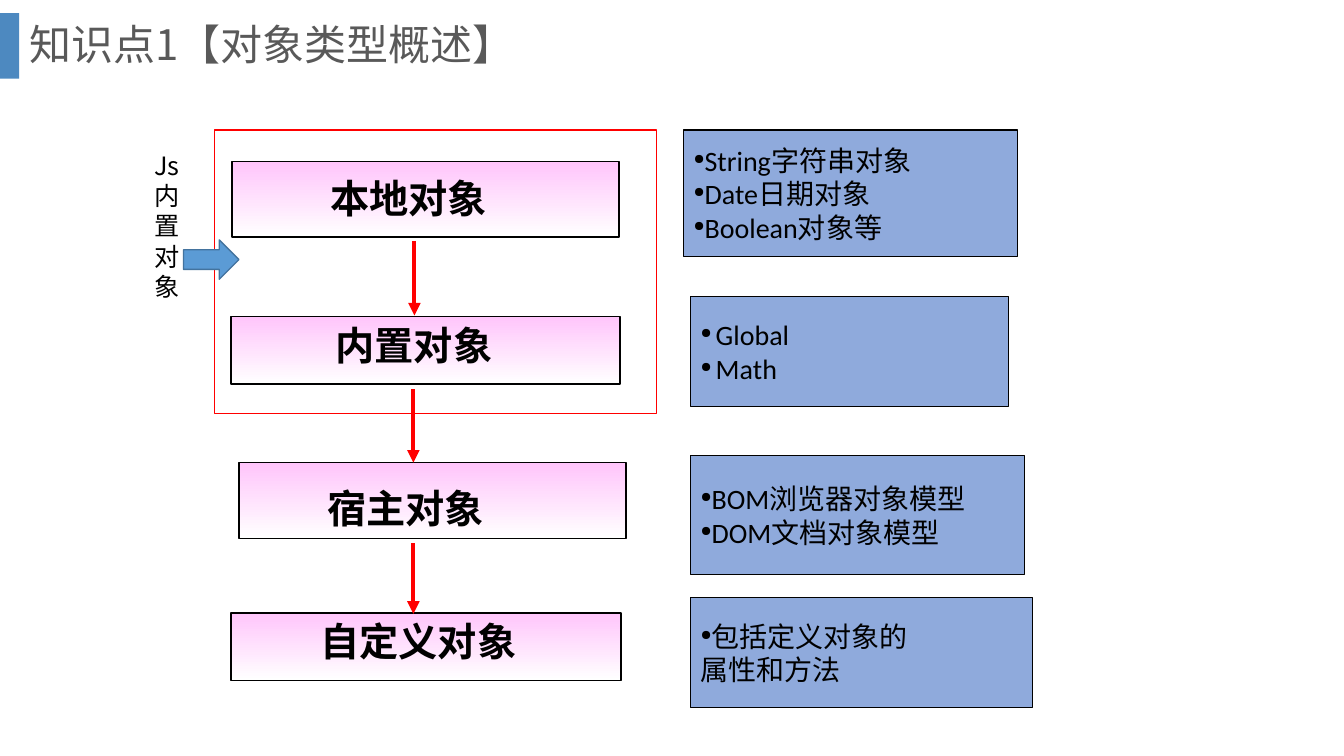
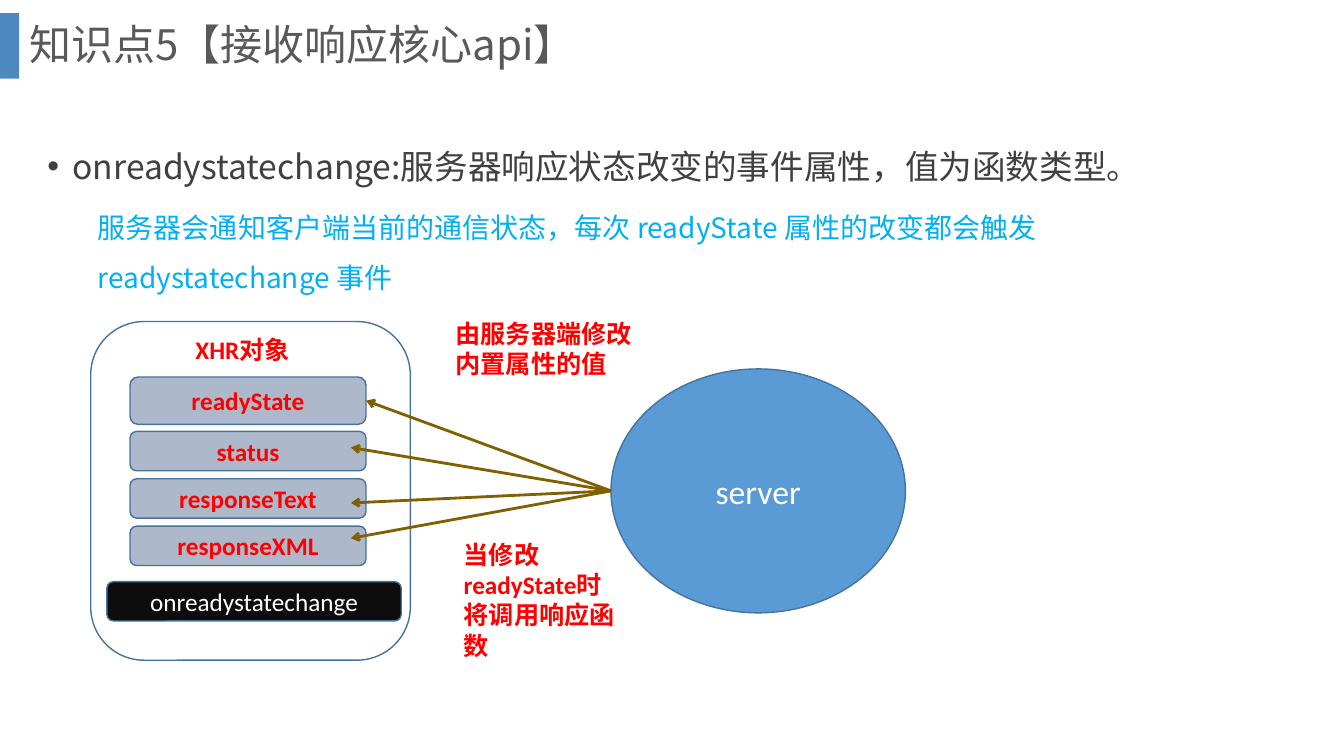
from pptx import Presentation
from pptx.dml.color import RGBColor
from pptx.enum.shapes import MSO_CONNECTOR as CONN, MSO_SHAPE as SHAPE
from pptx.enum.text import MSO_ANCHOR as ANCHOR, MSO_AUTO_SIZE as AUTO, PP_ALIGN as ALIGN
from pptx.oxml.ns import qn
from pptx.util import Inches, Pt
from lxml.etree import SubElement

COLORS = {
    "band": "2E75B6", "title": "595959", "body": "404040", "note": "00B0F0",
    "black": "000000", "white": "FFFFFF", "red": "FF0000", "pink": "FFC5FB",
    "panel": "8FAADC", "blue": "5B9BD5", "edge": "43739E", "grey": "ADB9CA",
    "dark": "0D0D0D", "brown": "806000",
}
LATIN, CJK = "Calibri", "Noto Sans CJK SC"
TITLE = dict(size=30, color="title", name=CJK)
LABEL = dict(size=28, bold=True, name=CJK)
PANEL = dict(size=20)
TAG = dict(size=18, bold=True, color="red")


def rgb(key):
    return RGBColor.from_string(COLORS[key])


def format_run(r, size, color="black", name=LATIN, bold=False):
    for key, value in dict(size=Pt(size), bold=bold, name=name).items():
        setattr(r.font, key, value)
    r.font.color.rgb = rgb(color)
    SubElement(r.font._element, qn("a:ea")).set("typeface", CJK)


def set_indent(p, left, first, bullet=None, percent=100):
    """Set the margins of a paragraph and its bullet, or none."""
    pPr = p._p.get_or_add_pPr()
    pPr.set("marL", str(Inches(left)))
    pPr.set("indent", str(Inches(first)))
    if bullet:
        SubElement(pPr, qn("a:buSzPct")).set("val", str(percent * 1000))
        SubElement(pPr, qn("a:buChar")).set("char", bullet)
    else:
        SubElement(pPr, qn("a:buNone"))


def write(sp, lines, style, align=ALIGN.LEFT, anchor=ANCHOR.MIDDLE):
    tf = sp.text_frame
    for key, value in dict(word_wrap=True, auto_size=AUTO.NONE, vertical_anchor=anchor).items():
        setattr(tf, key, value)
    for i, line in enumerate(lines):
        p = tf.add_paragraph() if i else tf.paragraphs[0]
        p.alignment = align
        r = p.add_run()
        r.text = line
        format_run(r, **style)
    return tf.paragraphs


def place(sp, *box):
    for key, value in zip(("left", "top", "width", "height"), box):
        setattr(sp, key, Inches(value))


def add_box(slide, kind, box, fill=None, line=None, width=1):
    sp = slide.shapes.add_shape(kind, *map(Inches, box))
    sp.shadow.inherit = False
    if fill:
        sp.fill.solid()
        sp.fill.fore_color.rgb = rgb(fill)
    else:
        sp.fill.background()
    if line:
        sp.line.color.rgb = rgb(line)
        sp.line.width = Pt(width)
    else:
        sp.line.fill.background()
    return sp


def add_text(slide, box, lines, style, anchor=ANCHOR.TOP):
    return write(slide.shapes.add_textbox(*map(Inches, box)), lines, style, anchor=anchor)


def add_arrow(slide, start, end, color, width, head):
    cx = slide.shapes.add_connector(CONN.STRAIGHT, *map(Inches, start + end))
    cx.line.color.rgb = rgb(color)
    cx.line.width = Pt(width)
    SubElement(cx.line._get_or_add_ln(), qn("a:tailEnd")).set("type", head)
    SubElement(cx._element.spPr, qn("a:effectLst"))
    return cx


def add_slide(prs, layout, title):
    """Add a slide with the shared side band and title style."""
    slide = prs.slides.add_slide(prs.slide_layouts[layout])
    band = add_box(slide, SHAPE.RECTANGLE, (0, 0.13, 0.19, 0.65), "band")
    color = band.fill._xPr.find(qn("a:solidFill"))[0]
    SubElement(color, qn("a:alpha")).set("val", "85000")
    place(slide.shapes.title, 0.19, 0, 12.66, 0.93)
    write(slide.shapes.title, [title], TITLE)[0].line_spacing = 0.9
    return slide


def add_gradient_box(slide, box):
    sp = add_box(slide, SHAPE.RECTANGLE, box, line="black")
    sp.fill.gradient()
    sp.fill.gradient_angle = 270
    for stop, key in zip(sp.fill.gradient_stops, ("pink", "white")):
        stop.color.rgb = rgb(key)


def add_panel(slide, box, lines, bullets, hang):
    sp = add_box(slide, SHAPE.RECTANGLE, box, "panel", "black", 0.75)
    for i, p in enumerate(write(sp, lines, PANEL)):
        if i < bullets:
            set_indent(p, hang, -hang, "●", 50)


def object_types(prs):
    slide = add_slide(prs, 5, "知识点1【对象类型概述】")

    # Chain of object types: box, then label text and its place
    chain = [
        ((2.3, 1.6, 3.84, 0.75), "本地对象", (3.18, 1.68)),
        ((2.29, 3.14, 3.86, 0.67), "内置对象", (3.23, 3.14)),
        ((2.37, 4.59, 3.84, 0.75), "宿主对象", (3.15, 4.75)),
        ((2.29, 6.08, 3.87, 0.67), "自定义对象", (3.08, 6.07)),
    ]
    for box, label, at in chain:
        add_gradient_box(slide, box)
        add_text(slide, at + (2.26, 0.57), [label], LABEL, ANCHOR.MIDDLE)
    for x, top, bottom in [(4.11, 2.39, 3.13), (4.1, 3.86, 4.59), (4.1, 5.39, 6.09)]:
        add_arrow(slide, (x, top), (x, bottom), "red", 3, "triangle")

    # Examples of each type
    panels = [
        ((6.78, 1.29, 3.31, 1.26), ["String字符串对象", "Date日期对象", "Boolean对象等"], 3, 0),
        ((6.85, 2.94, 3.15, 1.09), ["Global", "Math"], 2, 0.15),
        ((6.85, 4.52, 3.31, 1.18), ["BOM浏览器对象模型", "DOM文档对象模型"], 2, 0),
        ((6.85, 5.93, 3.39, 1.09), ["包括定义对象的", "属性和方法"], 1, 0),
    ]
    for panel in panels:
        add_panel(slide, *panel)

    # Frame around the types built into the language
    add_box(slide, SHAPE.RECTANGLE, (2.13, 1.29, 4.38, 2.81), line="red")
    add_text(slide, (1.43, 1.44, 0.55, 1.62), ["Js", "内置对象"], dict(size=18, name=CJK))
    add_box(slide, SHAPE.RIGHT_ARROW, (1.82, 2.38, 0.55, 0.39), "blue", "edge")


def response_api(prs):
    slide = add_slide(prs, 1, "知识点5【接收响应核心api】")

    # Explanation
    body = slide.placeholders[1]
    place(body, 0.37, 1.2, 12.05, 5.46)
    intro, note = write(body, [
        "onreadystatechange:服务器响应状态改变的事件属性，值为函数类型。",
        "服务器会通知客户端当前的通信状态，每次 readyState 属性的改变都会触发 readystatechange 事件",
    ], dict(size=24, color="body", name=CJK), anchor=ANCHOR.TOP)
    note.level = 1
    note.runs[0].font.size = Pt(20)
    note.runs[0].font.color.rgb = rgb("note")
    for p, before in ((intro, 0), (note, 5)):
        p.line_spacing = 1.5
        p.space_before = Pt(before)
    set_indent(intro, 0.25, -0.25, "•")
    set_indent(note, 0.5, 0)

    # XHR object and its properties
    add_box(slide, SHAPE.ROUNDED_RECTANGLE, (0.9, 3.19, 3.17, 3.36), line="edge")
    add_text(slide, (1.84, 3.27, 2.26, 0.4), ["XHR对象"], TAG)
    fields = []
    for name, top, height in [("readyState", 3.74, 0.47), ("status", 4.28, 0.39),
                              ("responseText", 4.75, 0.39), ("responseXML", 5.22, 0.39)]:
        sp = add_box(slide, SHAPE.ROUNDED_RECTANGLE, (1.29, top, 2.34, height), "grey", "edge")
        write(sp, [name], TAG, ALIGN.CENTER)
        fields.append(sp)
    handler = add_box(slide, SHAPE.ROUNDED_RECTANGLE, (1.06, 5.77, 2.92, 0.39), "dark", "edge")
    write(handler, ["onreadystatechange"], dict(size=18, color="white"), ALIGN.CENTER)

    # Server and its updates
    server = add_box(slide, SHAPE.OVAL, (6.06, 3.66, 2.92, 2.42), "blue", "edge")
    write(server, ["server"], dict(size=24, color="white"), ALIGN.CENTER)
    ends = [(3.63, 3.97), (3.48, 4.44), (3.48, 4.99), (3.48, 5.34)]
    arrows = [add_arrow(slide, (6.06, 4.87), end, "brown", 2, "arrow") for end in ends]
    arrows[0].end_connect(fields[0], 3)

    # Remarks
    add_text(slide, (4.42, 3.11, 2.09, 0.71), ["由服务器端修改内置属性的值"], TAG)
    add_text(slide, (4.5, 5.3, 1.75, 1.31), ["当修改readyState时将调用响应函数"], TAG)


def main():
    prs = Presentation()
    prs.slide_width, prs.slide_height = Inches(13.33), Inches(7.5)
    object_types(prs)
    response_api(prs)
    prs.save("out.pptx")


if __name__ == "__main__":
    main()
